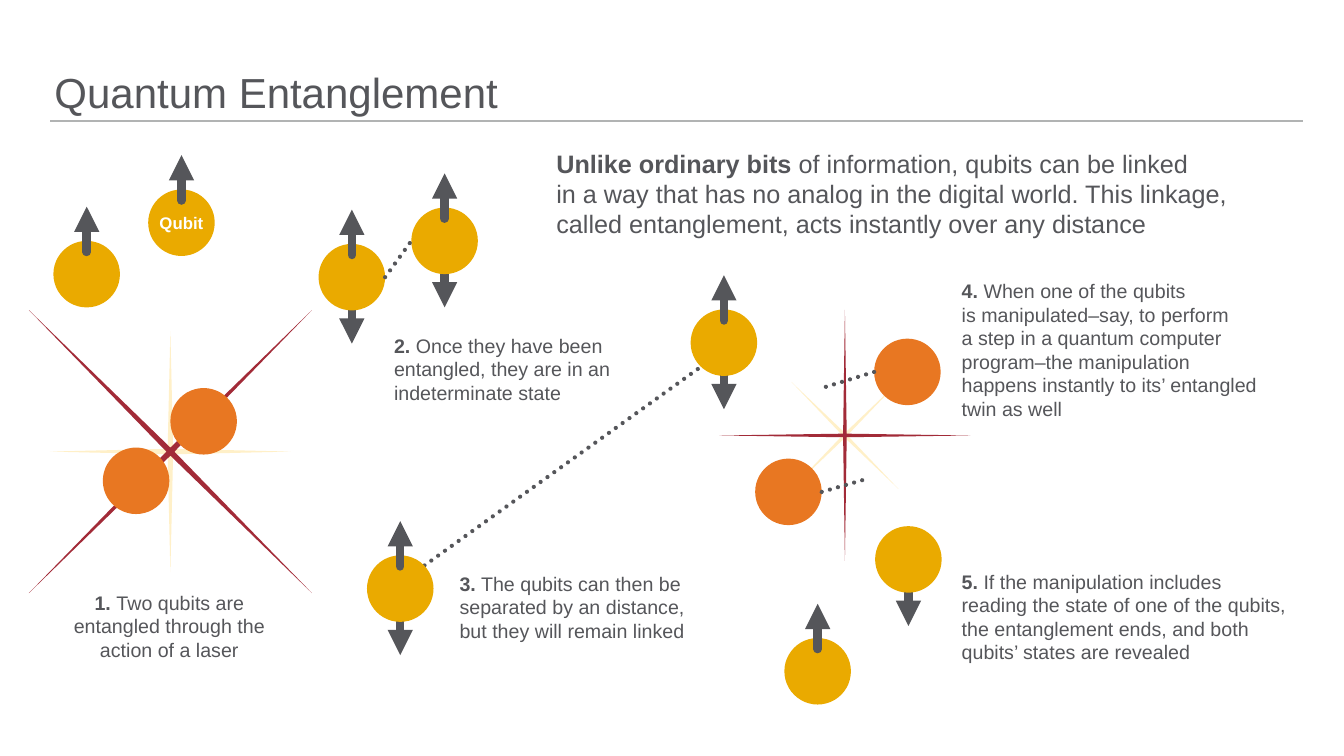
import pptx
import pptx.util
import pptx.dml.color
import pptx.enum.shapes
import pptx.enum.text
from lxml import etree
from pptx.oxml.ns import qn
from pptx.util import Inches

COLOURS = {"grey": "55565A", "rule": "B1B3B3", "gold": "EAAA00", "orange": "E87722",
           "red": "A22B38", "cream": "FFF0C8", "white": "FFFFFF"}
SHAPES = pptx.enum.shapes.MSO_SHAPE
ALIGN = pptx.enum.text.PP_ALIGN
ANCHOR = pptx.enum.text.MSO_ANCHOR
DIAMETER = 0.66


def colour(name):
    return pptx.dml.color.RGBColor.from_string(COLOURS[name])


def add_span(para, text, size, shade="grey", bold=False):
    """Add text to a paragraph, turning newlines into line breaks."""
    for index, piece in enumerate(text.split("\n")):
        if index:
            para.add_line_break()
        span = para.add_run()
        span.text = piece
        values = {"name": "Arial", "size": pptx.util.Pt(size), "bold": bold}
        for key, value in values.items():
            setattr(span.font, key, value)
        span.font.color.rgb = colour(shade)


def add_title(page, text):
    title = page.shapes.title
    place = {"left": 0.54, "top": 0, "width": 8.89, "height": 1.17}
    for key, value in place.items():
        setattr(title, key, Inches(value))
    frame = title.text_frame
    for side in ("left", "right", "top", "bottom"):
        setattr(frame, f"margin_{side}", 0)
    frame.vertical_anchor = ANCHOR.BOTTOM
    frame.word_wrap = True
    para = frame.paragraphs[0]
    para.alignment = ALIGN.LEFT
    para.line_spacing = 0.9
    add_span(para, text, 30)


def add_caption(page, place, lead, text, size=14, align=ALIGN.LEFT):
    box = page.shapes.add_textbox(*map(Inches, place))
    frame = box.text_frame
    frame.word_wrap = True
    frame.auto_size = pptx.enum.text.MSO_AUTO_SIZE.SHAPE_TO_FIT_TEXT
    para = frame.paragraphs[0]
    para.alignment = align
    add_span(para, lead, size, bold=True)
    add_span(para, text, size)


def add_line(page, start, end, shade="grey", width=1, dotted=False, arrow=False):
    line = page.shapes.add_connector(pptx.enum.shapes.MSO_CONNECTOR.STRAIGHT,
                                     *map(Inches, (*start, *end)))
    line.line.color.rgb = colour(shade)
    line.line.width = pptx.util.Pt(width)
    stroke = line.line._get_or_add_ln()
    if dotted or arrow:
        stroke.set("cap", "rnd")
    if dotted:
        etree.SubElement(stroke, qn("a:prstDash"), val="sysDot")
    if arrow:
        etree.SubElement(stroke, qn("a:round"))
        etree.SubElement(stroke, qn("a:tailEnd"), type="triangle")
    etree.SubElement(line._element.spPr, qn("a:effectLst"))


def add_dots(page, start, end):
    add_line(page, start, end, width=3, dotted=True)


def add_centred(page, kind, centre, size, shade):
    x, y = centre
    shape = page.shapes.add_shape(kind, Inches(x - size / 2), Inches(y - size / 2),
                                  Inches(size), Inches(size))
    shape.shadow.inherit = False
    shape.fill.solid()
    shape.fill.fore_color.rgb = colour(shade)
    shape.line.fill.background()
    return shape


def add_star(page, centre, size, shade, thinness, turn=0):
    star = add_centred(page, SHAPES.STAR_4_POINT, centre, size, shade)
    star.adjustments[0] = thinness
    star.rotation = turn


def add_qubit(page, centre, spins="", shade="gold", label=""):
    """Draw a qubit; the down arrow starts behind it, the up arrow in front."""
    x, y = centre
    if "down" in spins:
        add_line(page, (x, y + 0.21), (x, y + 0.66), width=6, arrow=True)
    ball = add_centred(page, SHAPES.OVAL, centre, DIAMETER, shade)
    if label:
        frame = ball.text_frame
        frame.word_wrap = False
        frame.vertical_anchor = ANCHOR.MIDDLE
        frame.paragraphs[0].alignment = ALIGN.CENTER
        add_span(frame.paragraphs[0], label, 12, "white", bold=True)
    if "up" in spins:
        add_line(page, (x, y - 0.22), (x, y - 0.67), width=6, arrow=True)


def main():
    deck = pptx.Presentation()
    deck.slide_width, deck.slide_height = Inches(13.33), Inches(7.5)
    page = deck.slides.add_slide(deck.slide_layouts[5])

    # Heading and introduction
    add_line(page, (0.5, 1.2), (12.92, 1.2), "rule")
    add_title(page, "Quantum Entanglement")
    add_caption(page, (5.42, 1.42, 7.46, 1.01), "Unlike ordinary bits ",
                "of information, qubits can be linked \nin a way that has no analog in the "
                "digital world. This linkage, called entanglement, acts instantly over any "
                "distance", size=18)

    # Step 1: a laser entangles two qubits
    add_qubit(page, (1.8, 2.21), "up", label="Qubit")
    add_qubit(page, (0.86, 2.72), "up")
    laser = (1.69, 4.48)
    add_star(page, laser, 2.39, "cream", 0.016)
    add_star(page, laser, 3.97, "red", 0.01, turn=225)
    for centre in ((1.35, 4.77), (2.02, 4.18)):
        add_qubit(page, centre, shade="orange")
    add_caption(page, (0.57, 5.81, 2.22, 0.81), "1. ",
                "Two qubits are entangled through the action of a laser",
                align=ALIGN.CENTER)

    # Step 2: indeterminate state
    for centre in ((3.49, 2.75), (4.41, 2.39)):
        add_qubit(page, centre, "up down")
    add_dots(page, (3.82, 2.75), (4.08, 2.39))
    add_caption(page, (3.81, 3.26, 2.4, 0.81), "2. ",
                "Once they have been entangled, they are in an indeterminate state")

    # Step 3: separated but linked
    add_dots(page, (4.21, 5.61), (6.95, 3.64))
    for centre in ((3.97, 5.84), (7.18, 3.4)):
        add_qubit(page, centre, "up down")
    add_caption(page, (4.46, 5.62, 2.55, 0.81), "3.",
                " The qubits can then be separated by an distance, but they will remain linked")

    # Step 4: manipulation reaches both twins
    pulse = (8.38, 4.32)
    add_star(page, pulse, 1.5, "cream", 0.016, turn=45)
    add_star(page, pulse, 2.49, "red", 0.01)
    for centre in ((7.82, 4.88), (9, 3.69)):
        add_qubit(page, centre, shade="orange")
    add_dots(page, (8.15, 4.88), (8.6, 4.75))
    add_dots(page, (8.67, 3.69), (8.15, 3.85))
    add_caption(page, (9.44, 2.72, 3.44, 1.51), "4.",
                " When one of the qubits \nis manipulated–say, to perform \na step in a quantum "
                "computer program–the manipulation\nhappens instantly to its’ entangled twin "
                "as well")

    # Step 5: states revealed
    add_qubit(page, (8.11, 6.66), "up")
    add_qubit(page, (9.01, 5.55), "down")
    add_caption(page, (9.44, 5.6, 3.44, 1.04), "5.",
                " If the manipulation includes reading the state of one of the qubits, the "
                "entanglement ends, and both qubits’ states are revealed")

    deck.save("out.pptx")


if __name__ == "__main__":
    main()
